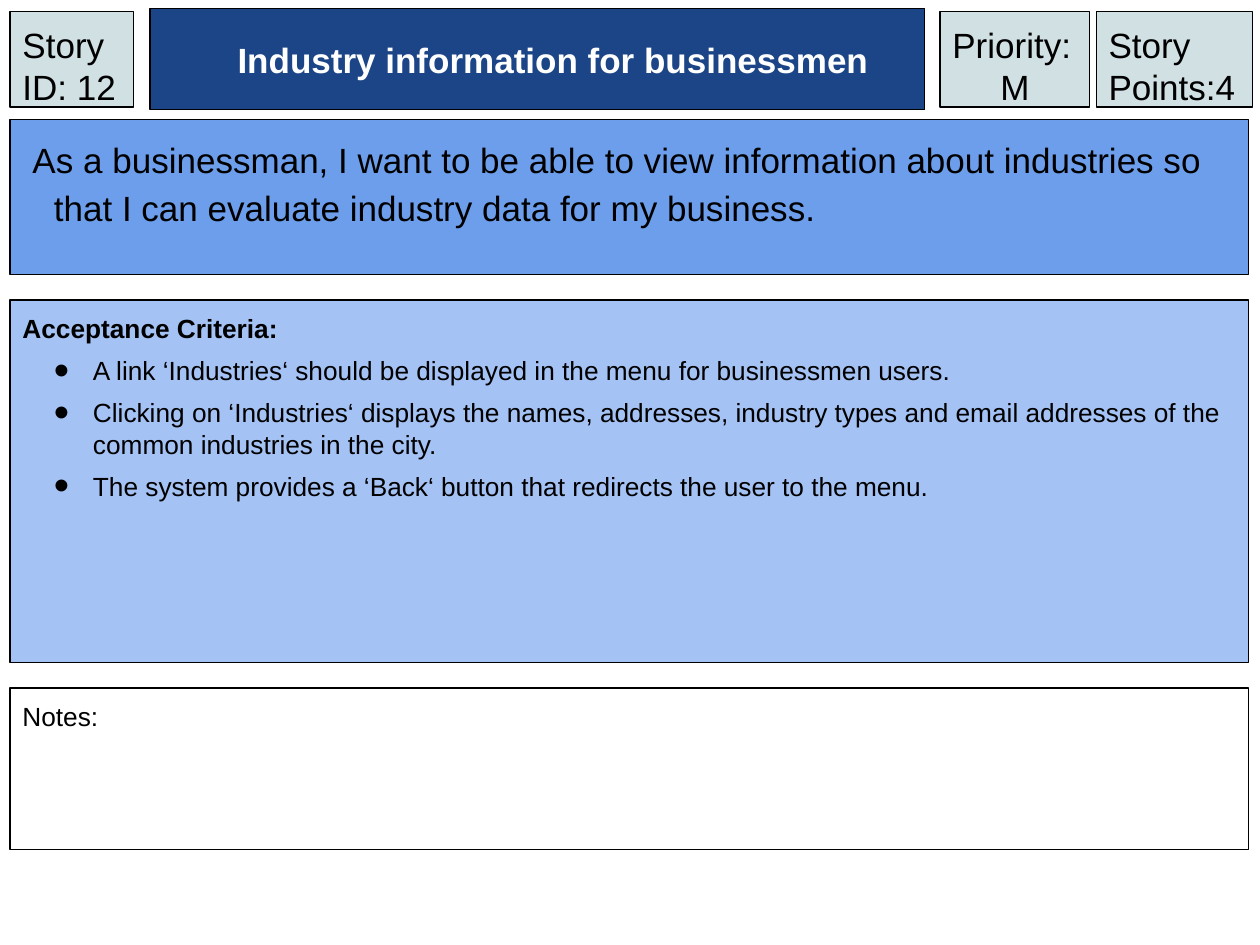
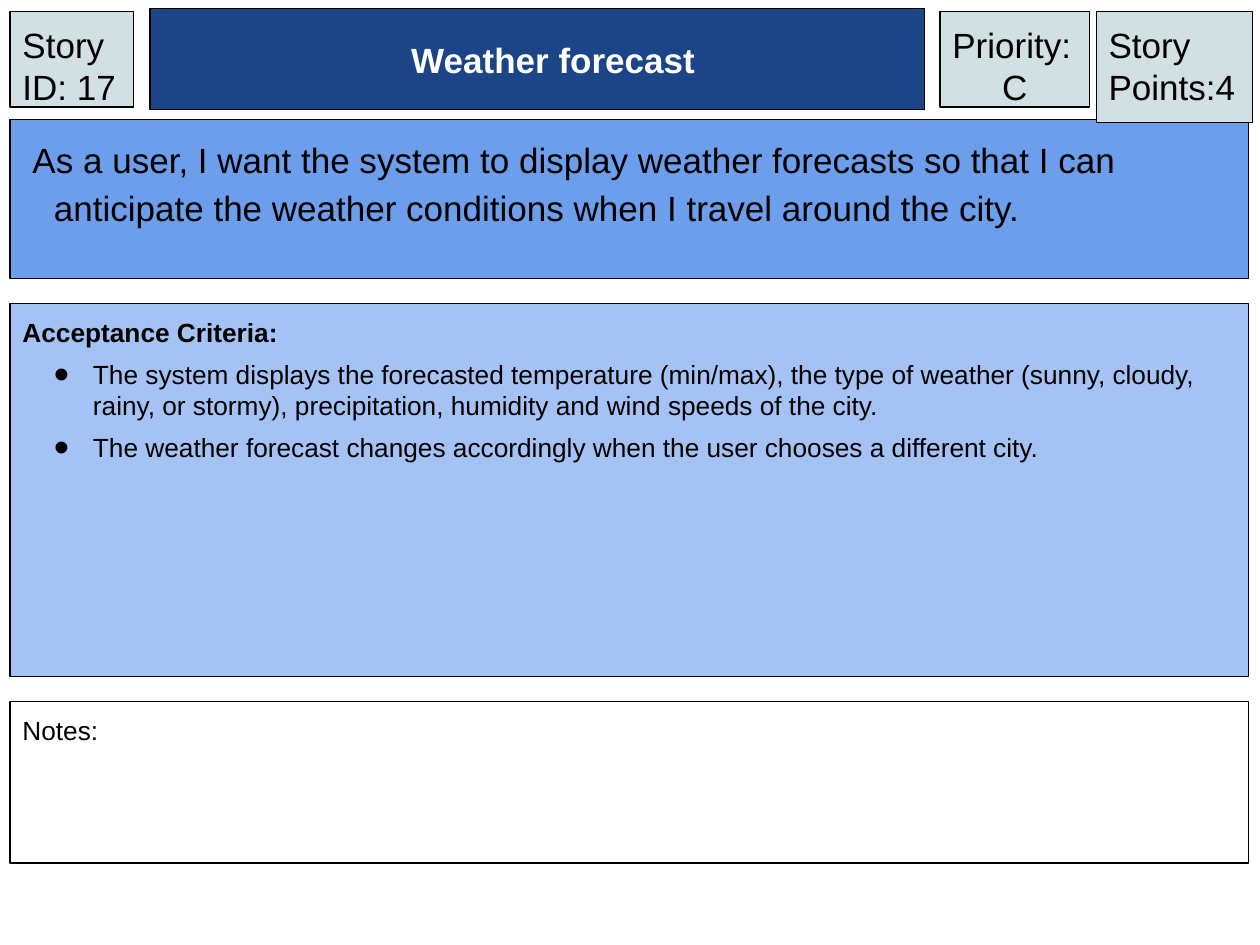
import pptx
import pptx.util
import pptx.dml.color
import pptx.enum.shapes
import pptx.enum.text
import pptx.oxml.ns
from lxml import etree

Inches = pptx.util.Inches
Pt = pptx.util.Pt
CENTER = pptx.enum.text.PP_ALIGN.CENTER

# Shared look of the story cards
FONT = "Arial"
COLORS = {
    "title": "1C4587",
    "story": "6D9EEB",
    "criteria": "A4C2F4",
    "notes": "FFFFFF",
    "tag": "D0E0E3",
    "ink": "000000",
    "title_text": "FFFFFF",
}
MARGIN = 0.08
PANEL_WIDTH = 9.83
PANEL_TOP = 0.95
PANEL_GAP = 0.2
NOTES_HEIGHT = 1.28
TAG_TOP = 0.09
TAG_HEIGHT = 0.76

CARDS = [
    {
        "title": "Industry information for businessmen",
        "id": 12,
        "priority": "M",
        "points": 4,
        "points_height": TAG_HEIGHT,
        "story": "As a businessman, I want to be able to view information about "
                 "industries so that I can evaluate industry data for my business.",
        "story_height": 1.23,
        "criteria": [
            "A link ‘Industries‘ should be displayed in the menu for businessmen users.",
            "Clicking on ‘Industries‘ displays the names, addresses, industry types "
            "and email addresses of the common industries in the city.",
            "The system provides a ‘Back‘ button that redirects the user to the menu.",
        ],
        "criteria_height": 2.88,
    },
    {
        "title": "Weather forecast",
        "id": 17,
        "priority": "C",
        "points": 4,
        "points_height": 0.88,
        "story": "As a user, I want the system to display weather forecasts so that I "
                 "can anticipate the weather conditions when I travel around the city.",
        "story_height": 1.26,
        "criteria": [
            "The system displays the forecasted temperature (min/max), the type of "
            "weather (sunny, cloudy, rainy, or stormy), precipitation, humidity and "
            "wind speeds of the city.",
            "The weather forecast changes accordingly when the user chooses a "
            "different city.",
        ],
        "criteria_height": 2.96,
    },
]


def rgb(name):
    return pptx.dml.color.RGBColor.from_string(COLORS[name])


def add_box(slide, left, top, width, height, fill, lines, size, color="ink", bold=False):
    """Draw an outlined box with one paragraph per line; return its text frame."""
    shape = slide.shapes.add_shape(
        pptx.enum.shapes.MSO_SHAPE.RECTANGLE,
        Inches(left), Inches(top), Inches(width), Inches(height))
    shape.shadow.inherit = False
    shape.fill.solid()
    shape.fill.fore_color.rgb = rgb(fill)
    shape.line.color.rgb = rgb("ink")
    shape.line.width = Pt(0.75)

    frame = shape.text_frame
    frame.word_wrap = True
    frame.vertical_anchor = pptx.enum.text.MSO_ANCHOR.TOP
    frame.margin_left = frame.margin_right = Inches(0.1)
    frame.margin_top = frame.margin_bottom = Inches(0.1)
    frame.text = "\n".join(lines)
    for paragraph in frame.paragraphs:
        paragraph.alignment = pptx.enum.text.PP_ALIGN.LEFT
        for run in paragraph.runs:
            run.font.name = FONT
            run.font.size = Pt(size)
            run.font.bold = bold
            run.font.color.rgb = rgb(color)
    return frame


def set_indent(paragraph, left, first_line):
    properties = paragraph._p.get_or_add_pPr()
    properties.set("marL", str(Inches(left)))
    properties.set("indent", str(Inches(first_line)))
    return properties


def add_bullet(paragraph):
    properties = set_indent(paragraph, 0.56, -0.31)
    qn = pptx.oxml.ns.qn
    bullet_color = etree.SubElement(properties, qn("a:buClr"))
    etree.SubElement(bullet_color, qn("a:srgbClr"), val=COLORS["ink"])
    etree.SubElement(properties, qn("a:buSzPct"), val="167000")
    etree.SubElement(properties, qn("a:buFont"), typeface=FONT)
    etree.SubElement(properties, qn("a:buChar"), char="•")
    paragraph.space_before = Pt(6)


def add_title(slide, text):
    frame = add_box(slide, 1.19, 0.07, 6.15, 0.8, "title", [text], 20, "title_text", True)
    frame.vertical_anchor = pptx.enum.text.MSO_ANCHOR.MIDDLE
    frame.paragraphs[0].alignment = CENTER
    set_indent(frame.paragraphs[0], 0, 0.25)


def add_tag(slide, left, width, lines, height=TAG_HEIGHT):
    return add_box(slide, left, TAG_TOP, width, height, "tag", lines, 20)


def add_panel(slide, top, height, fill, lines, size):
    return add_box(slide, MARGIN, top, PANEL_WIDTH, height, fill, lines, size)


def add_card(presentation, card):
    slide = presentation.slides.add_slide(presentation.slide_layouts[6])

    # Stacked panels: story, acceptance criteria, notes
    top = PANEL_TOP
    story = add_panel(slide, top, card["story_height"], "story", [card["story"]], 20)
    story.paragraphs[0].line_spacing = 1.15
    set_indent(story.paragraphs[0], 0.25, -0.17)

    top += card["story_height"] + PANEL_GAP
    lines = ["Acceptance Criteria:"] + card["criteria"]
    criteria = add_panel(slide, top, card["criteria_height"], "criteria", lines, 15)
    heading, *items = criteria.paragraphs
    set_indent(heading, 0.38, -0.38)
    heading.runs[0].font.bold = True
    for item in items:
        add_bullet(item)

    top += card["criteria_height"] + PANEL_GAP
    notes = add_panel(slide, top, NOTES_HEIGHT, "notes", ["Notes:"], 15)
    set_indent(notes.paragraphs[0], 0.38, -0.38)

    # Header row
    add_title(slide, card["title"])
    add_tag(slide, 8.7, 1.24, [f"Story Points:{card['points']}"], card["points_height"])
    priority = add_tag(slide, 7.46, 1.19, ["Priority:", card["priority"]])
    priority.paragraphs[1].alignment = CENTER
    add_tag(slide, MARGIN, 0.98, [f"Story ID: {card['id']}"])


def main():
    presentation = pptx.Presentation()
    presentation.slide_width = Inches(10)
    presentation.slide_height = Inches(7.5)
    for card in CARDS:
        add_card(presentation, card)
    presentation.save("out.pptx")


if __name__ == "__main__":
    main()
